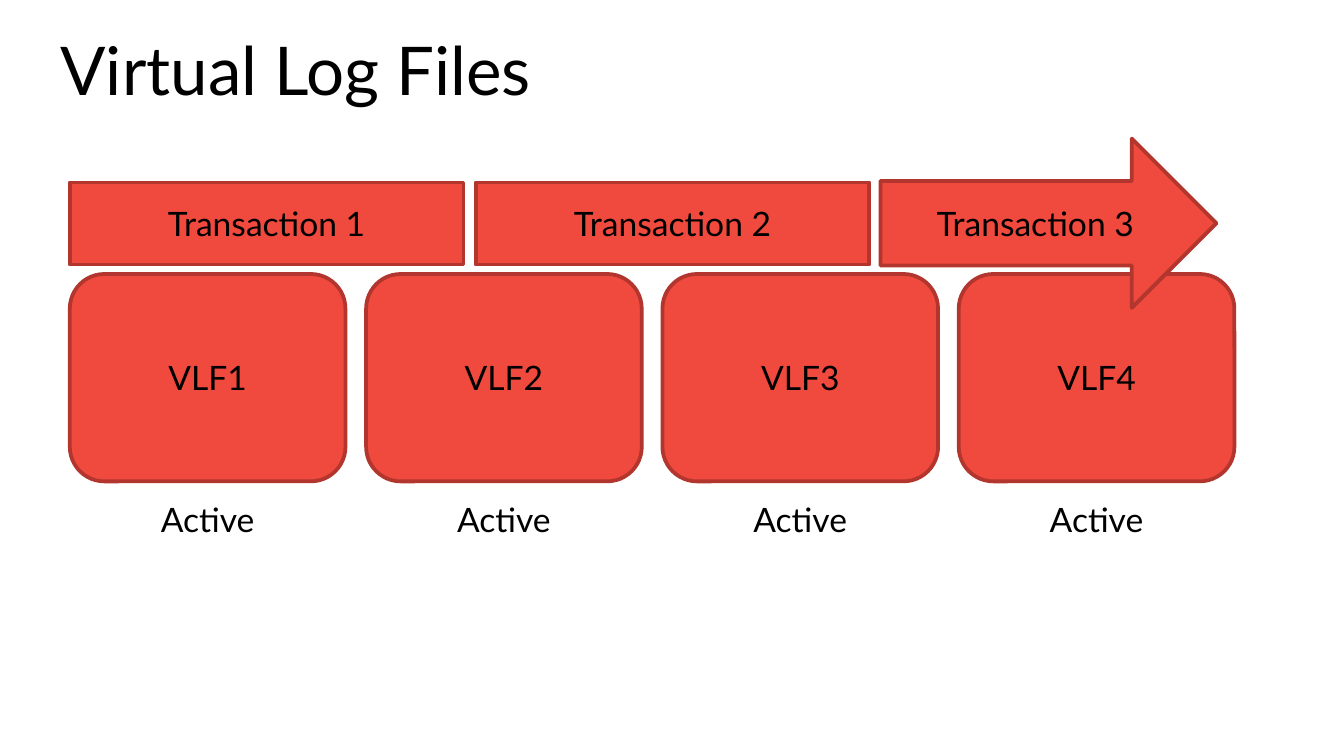
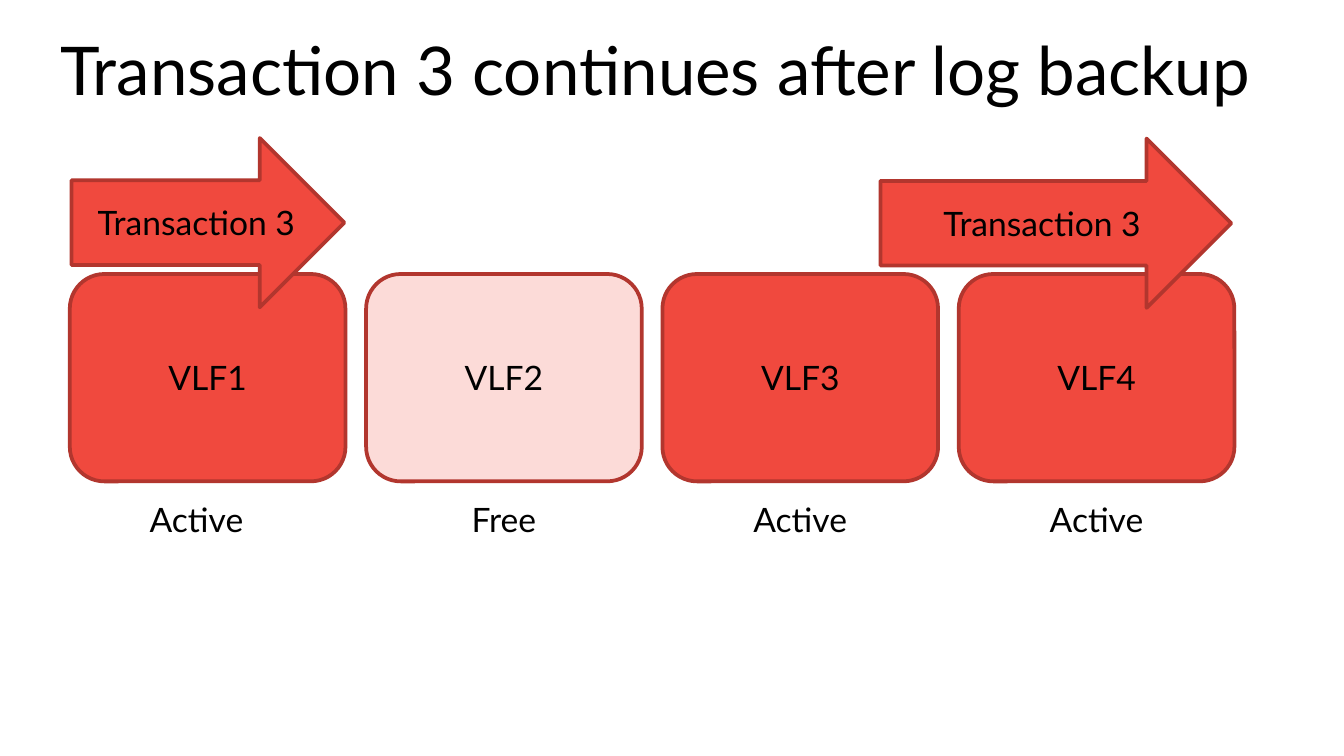
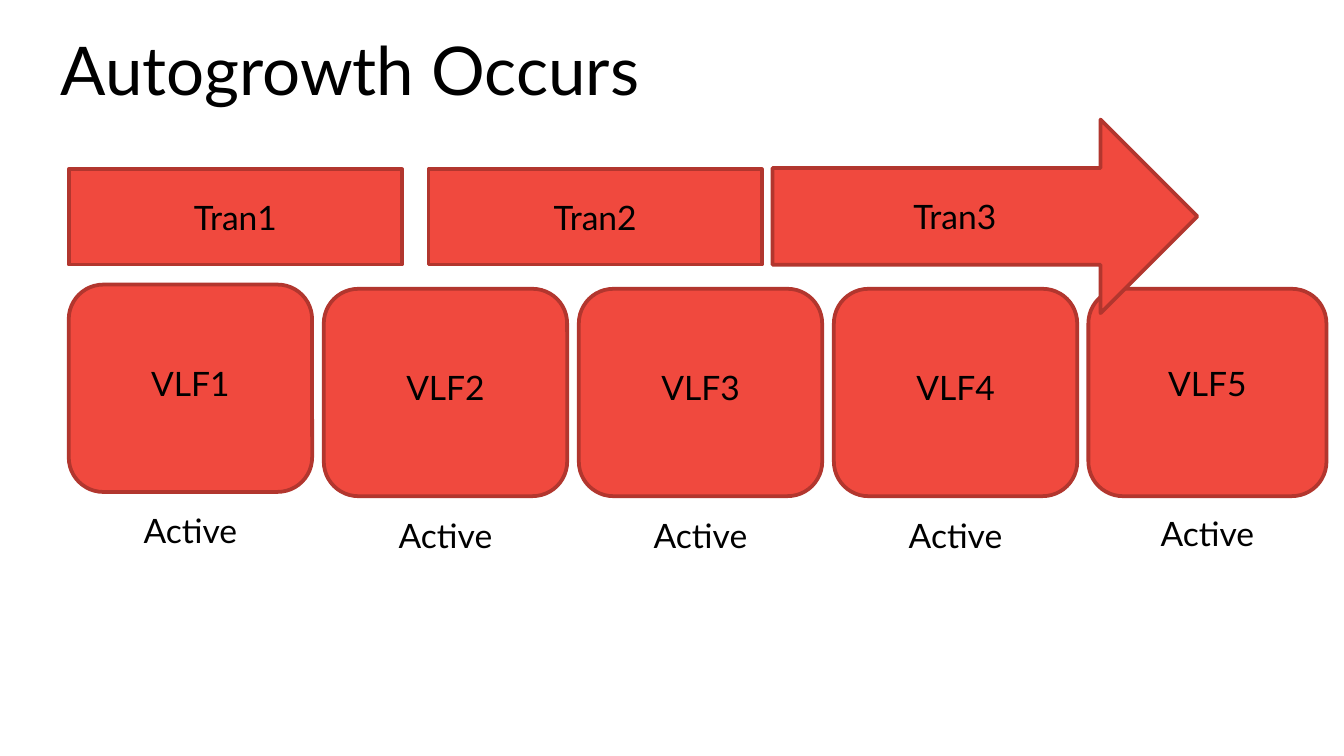
import pptx
import pptx.util
import pptx.dml.color
import pptx.enum.shapes
import pptx.enum.text
from dataclasses import dataclass

Cm, Pt = pptx.util.Cm, pptx.util.Pt
RGB = pptx.dml.color.RGBColor.from_string
MSO = pptx.enum.shapes.MSO_SHAPE
RECT, ROUND, ARROW = MSO.RECTANGLE, MSO.ROUNDED_RECTANGLE, MSO.RIGHT_ARROW


@dataclass(frozen=True)
class Theme:
    font: str = "Lato"
    title_size: int = 36
    title_leading: int = 35
    label_size: int = 18
    text: str = "000000"
    active: str = "F0493E"
    free: str = "FCDBD8"
    outline: str = "B2362E"
    outline_width: int = 2
    label_height: float = 1.02


theme = Theme()


def write(p, text, size):
    r = p.add_run()
    r.text = text
    r.font.name = theme.font
    r.font.size = Pt(size)
    r.font.color.rgb = RGB(theme.text)


def add_block(s, kind, left, top, width, height, fill, labels):
    """Draw an outlined shape and its labels: (text, shift from centre, top, width)."""
    sp = s.shapes.add_shape(kind, Cm(left), Cm(top), Cm(width), Cm(height))
    sp.shadow.inherit = False
    sp.fill.solid()
    sp.fill.fore_color.rgb = RGB(fill)
    sp.line.color.rgb = RGB(theme.outline)
    sp.line.width = Pt(theme.outline_width)
    for text, shift, label_top, label_width in labels:
        label_left = left + (width - label_width) / 2 + shift
        box = s.shapes.add_textbox(Cm(label_left), Cm(label_top),
                                   Cm(label_width), Cm(theme.label_height))
        tf = box.text_frame
        tf.word_wrap = True
        tf.auto_size = pptx.enum.text.MSO_AUTO_SIZE.SHAPE_TO_FIT_TEXT
        p = tf.paragraphs[0]
        p.alignment = pptx.enum.text.PP_ALIGN.CENTER
        write(p, text, theme.label_size)


# Log files: left, top, width, name drop, name width, status, status drop,
# status width, status shift
four_files = [(1.32 + 5.6 * i, 5.18, 5.21, 1.45, 3.84, "Active", 4.12, 2.67, 0)
              for i in range(4)]
after_backup = list(four_files)
after_backup[0] = four_files[0][:7] + (5.08, -0.21)
after_backup[1] = four_files[1][:5] + ("Free",) + four_files[1][6:]
five_files = [(1.3 + 4.82 * i, 5.46, 4.6, 1.35, 6.25, "Active", 4.14, 6.25, 0)
              for i in range(5)]
five_files[0] = (1.3, 5.38) + five_files[0][2:]
five_files[4] = (20.57, 5.46, 4.5, 1.27, 5, "Active", 4.12, 5, 0)

# Transactions: shape, left, top, width, height, text, text shift, text width
slides = [
    ("Virtual Log Files", four_files, [
        (RECT, 1.32, 3.45, 7.44, 1.55, "Transaction 1", 0, 5.23),
        (RECT, 8.99, 3.45, 7.44, 1.55, "Transaction 2", 0, 5.23),
        (ARROW, 16.64, 2.62, 6.35, 3.2, "Transaction 3", -0.25, 5.23)]),
    ("Transaction 3 continues after log backup", after_backup, [
        (ARROW, 16.64, 2.62, 6.63, 3.2, "Transaction 3", -0.26, 5.49),
        (ARROW, 1.35, 2.61, 5.16, 3.2, "Transaction 3", -0.22, 4.27)]),
    ("Autogrowth Occurs", five_files, [
        (RECT, 1.3, 3.2, 6.3, 1.8, "Tran1", 0, 4.9),
        (RECT, 8.1, 3.2, 6.3, 1.8, "Tran2", 0, 4.9),
        (ARROW, 14.6, 2.26, 8.03, 3.66, "Tran3", -0.57, 4.9)]),
]

prs = pptx.Presentation()
prs.slide_width, prs.slide_height = Cm(25.4), Cm(14.29)

for title, files, transactions in slides:
    s = prs.slides.add_slide(prs.slide_layouts[5])

    # Title
    sp = s.shapes.title
    sp.left, sp.top, sp.width, sp.height = Cm(0.89), Cm(0.69), Cm(23.55), Cm(1.7)
    tf = sp.text_frame
    tf.word_wrap = True
    tf.auto_size = pptx.enum.text.MSO_AUTO_SIZE.NONE
    tf.vertical_anchor = pptx.enum.text.MSO_ANCHOR.TOP
    p = tf.paragraphs[0]
    p.alignment = pptx.enum.text.PP_ALIGN.LEFT
    p.line_spacing = Pt(theme.title_leading)
    write(p, title, theme.title_size)

    # Virtual log files with name and status
    for n, (left, top, width, name_drop, name_width,
            status, drop, status_width, shift) in enumerate(files, 1):
        fill = theme.free if status == "Free" else theme.active
        add_block(s, ROUND, left, top, width, 3.92, fill, [
            (f"VLF{n}", 0, top + name_drop, name_width),
            (status, shift, top + drop, status_width)])

    # Transactions above the log files
    for kind, left, top, width, height, text, shift, text_width in transactions:
        text_top = top + (height - theme.label_height) / 2
        add_block(s, kind, left, top, width, height, theme.active,
                  [(text, shift, text_top, text_width)])

prs.save("out.pptx")
